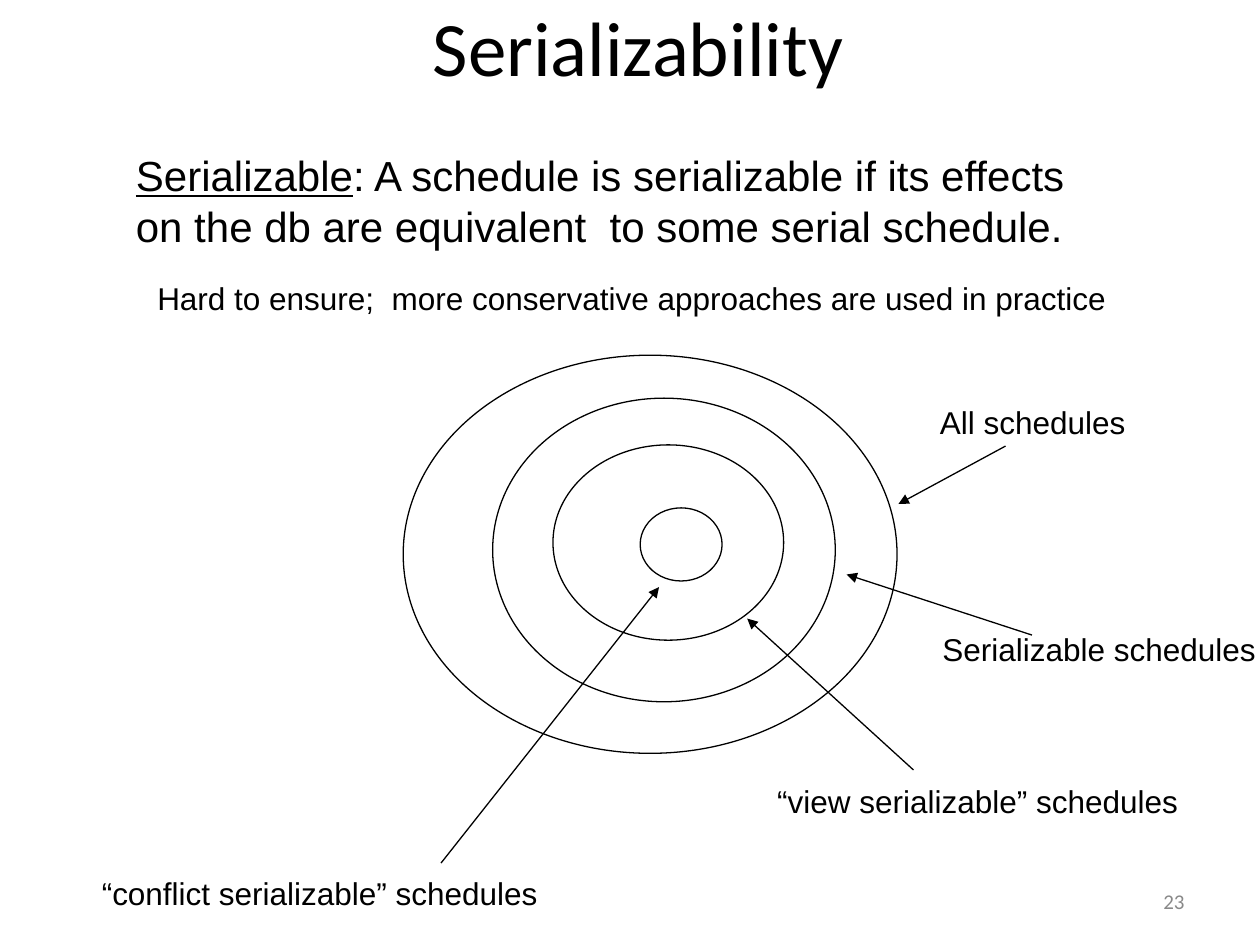
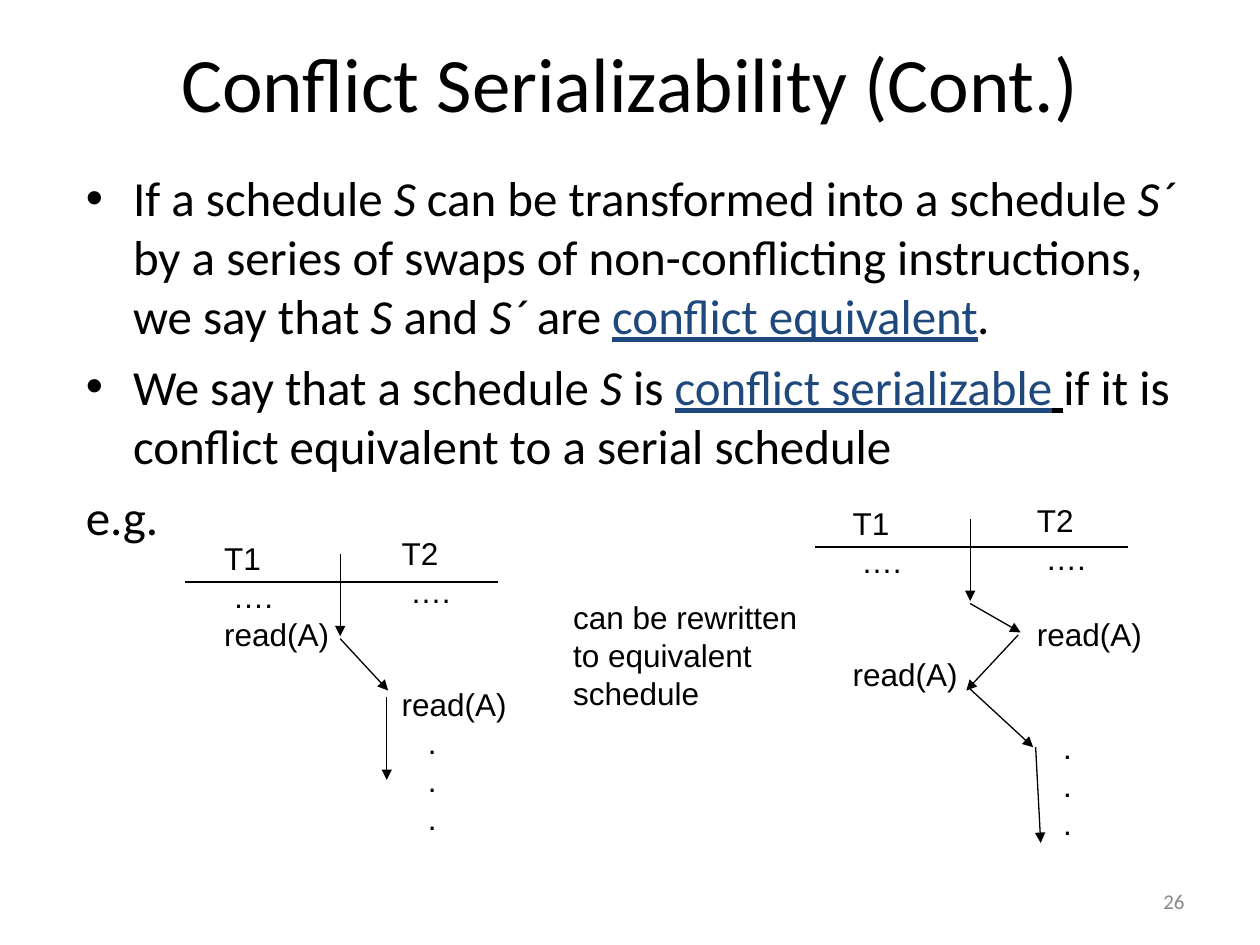
from dataclasses import dataclass

from lxml import etree
from pptx import Presentation
from pptx.dml.color import RGBColor
from pptx.enum import shapes, text
from pptx.oxml.ns import qn
from pptx.util import Pt

BLACK, GREY, NAVY = "000000", "898989", "1F497D"
SANS, HEAD = "Arial", "Calibri"
LEAD = 1.2  # line height as a share of the type size
PAD = 7.2  # top and bottom inset of a text box together
DOT, GAP = 15, 5  # indents of the dots in a schedule column


@dataclass
class Row:
    """A line of a label: its indent and the lines left free above it."""
    words: str
    indent: float = 0
    skip: int = 0


@dataclass
class Label:
    left: float
    top: float
    width: float
    rows: list[Row]
    lines: float = 1


@dataclass
class Arrow:
    x1: float
    y1: float
    x2: float
    y2: float


@dataclass
class Ring:
    left: float
    top: float
    width: float
    height: float


def color(code: str) -> RGBColor:
    return RGBColor.from_string(code)


def write(para, words: str, *, size: float = 18, font: str = SANS, ink: str = BLACK,
          italic: bool = False, under: bool = False) -> None:
    run = para.add_run()
    run.text = words
    run.font.size, run.font.name = Pt(size), font
    run.font.italic, run.font.underline = italic, under
    run.font.color.rgb = color(ink)


def place(shape, left: float, top: float, width: float, height: float) -> None:
    shape.left, shape.top = Pt(left), Pt(top)
    shape.width, shape.height = Pt(width), Pt(height)


def indent(para, left: float, first: float = 0) -> None:
    props = para._p.get_or_add_pPr()
    props.set("marL", str(Pt(left)))
    props.set("indent", str(Pt(first)))


def add_box(slide, left: float, top: float, width: float, lines: float,
            size: float = 18, wrap: bool = False):
    """Add an empty text box tall enough for a number of lines."""
    height = lines * size * LEAD + PAD
    frame = slide.shapes.add_textbox(Pt(left), Pt(top), Pt(width), Pt(height)).text_frame
    frame.word_wrap = wrap
    frame.auto_size = text.MSO_AUTO_SIZE.NONE
    frame.paragraphs[0].line_spacing = Pt(size * LEAD)
    return frame


def add_label(slide, label: Label) -> None:
    frame = add_box(slide, label.left, label.top, label.width, label.lines)
    for i, row in enumerate(label.rows):
        para = frame.add_paragraph() if i else frame.paragraphs[0]
        para.line_spacing = Pt(18 * LEAD)
        if row.skip:
            para.space_before = Pt(row.skip * 18 * LEAD)
        if row.indent:
            indent(para, row.indent)
        write(para, row.words)


def add_line(slide, arrow: Arrow, head: bool = True) -> None:
    line = slide.shapes.add_connector(
        shapes.MSO_CONNECTOR.STRAIGHT,
        Pt(arrow.x1), Pt(arrow.y1), Pt(arrow.x2), Pt(arrow.y2))
    line.line.color.rgb = color(BLACK)
    line.line.width = Pt(0.75)
    props = line._element.spPr
    if head:
        etree.SubElement(props.find(qn("a:ln")), qn("a:tailEnd"), type="triangle")
    etree.SubElement(props, qn("a:effectLst"))


def add_ring(slide, ring: Ring) -> None:
    oval = slide.shapes.add_shape(
        shapes.MSO_SHAPE.OVAL,
        Pt(ring.left), Pt(ring.top), Pt(ring.width), Pt(ring.height))
    oval.shadow.inherit = False
    oval.fill.background()
    oval.line.color.rgb = color(BLACK)
    oval.line.width = Pt(0.75)


def add_grid(slide, left: float, top: float) -> None:
    """Draw the rule under T1 and T2 and the arrow that parts them."""
    add_line(slide, Arrow(left, top, left + 178.6, top), head=False)
    add_line(slide, Arrow(left + 88.6, top - 15.8, left + 88.6, top + 31))


def add_page(deck, layout: int, title: str, number: int, area: tuple):
    """Add a slide with its title and page number."""
    slide = deck.slides.add_slide(deck.slide_layouts[layout])
    head = slide.shapes.title
    place(head, *area)
    head.text_frame.auto_size = text.MSO_AUTO_SIZE.NONE
    head.text_frame.vertical_anchor = text.MSO_ANCHOR.MIDDLE
    para = head.text_frame.paragraphs[0]
    para.alignment = text.PP_ALIGN.CENTER
    write(para, title, size=44, font=HEAD)

    frame = add_box(slide, 516, 500.4, 168, 1.5, size=12, wrap=True)
    frame.vertical_anchor = text.MSO_ANCHOR.MIDDLE
    frame.paragraphs[0].alignment = text.PP_ALIGN.RIGHT
    write(frame.paragraphs[0], str(number), size=12, font=HEAD, ink=GREY)
    return slide


RINGS = [
    Ring(365.8, 290.2, 46.8, 41.8),
    Ring(316, 254.2, 131.8, 111.6),
    Ring(281.5, 227.5, 195.8, 173.5),
    Ring(230.4, 203, 282.2, 227.5),
]
NAMES = [
    Label(530, 226.8, 120.2, [Row("All schedules")]),
    Label(531.4, 356.4, 193, [Row("Serializable schedules")]),
    Label(51.1, 496, 263.5, [Row("“conflict serializable” schedules")]),
    Label(437, 443.5, 243.4, [Row("“view serializable” schedules")]),
    Label(82.8, 156.2, 561.6,
          [Row("Hard to ensure;  more conservative approaches are used in practice")]),
]
POINTERS = [
    Arrow(252, 493.2, 376.6, 335.5),
    Arrow(522, 440, 427, 353.5),
    Arrow(589.7, 362.9, 483.8, 328.3),
    Arrow(574.6, 254.9, 513.4, 288),
]

ITALIC = {"italic": True}
TERM = {"ink": NAVY, "under": True, "italic": True}
POINTS = [
    [("If a schedule ", {}), ("S", ITALIC), (" can be transformed into a schedule ", {}),
     ("S´ ", ITALIC),
     ("by a series of swaps of non-conflicting instructions, we say that ", {}),
     ("S", ITALIC), (" and ", {}), ("S´ ", ITALIC), ("are ", {}),
     ("conflict equivalent", TERM | {"italic": False}), (".", ITALIC)],
    [("We say that a schedule ", {}), ("S", ITALIC), (" is ", {}),
     ("conflict serializable", TERM | {"italic": False}), (" ", {"under": True}),
     ("if it is conflict equivalent to a serial schedule", {})],
    [("e.g.", {})],
]
DOTS = [Row(".", DOT), Row(".", DOT)]
START = Row("….", GAP)
COLUMNS = [
    Label(121, 304.6, 74.2, [Row("T1"), START, Row("read(A)")], 6),
    Label(222.5, 301.7, 74.2,
          [Row("T2"), START, Row("read(A)", skip=2), Row(".", DOT), *DOTS], 10),
    Label(480.2, 284.4, 74.2, [Row("T1"), START, Row("read(A)", skip=2)], 8),
    Label(585.4, 283, 74.2,
          [Row("T2"), START, Row("read(A)", skip=1), Row(".", DOT, 2), *DOTS], 11),
    Label(320.4, 338.4, 142.6,
          [Row("can be rewritten"), Row("to equivalent"), Row("schedule")], 3),
]
STEPS = [
    Arrow(194.4, 365, 221.8, 394.6),
    Arrow(221, 398.2, 221, 445.7),
    Arrow(554.4, 344.9, 583.2, 361.4),
    Arrow(581.8, 362.9, 552.2, 394.6),
    Arrow(554.4, 393.8, 590.4, 427),
    Arrow(591.8, 427, 594.7, 481.7),
]


def build_rings(deck) -> None:
    slide = add_page(deck, 5, "Serializability", 23, (46.8, 2.2, 635.8, 48.2))
    for ring in RINGS:
        add_ring(slide, ring)
    for name in NAMES:
        add_label(slide, name)
    for arrow in POINTERS:
        add_line(slide, arrow)
    para = add_box(slide, 70.6, 82, 547.2, 3, size=24, wrap=True).paragraphs[0]
    write(para, "Serializable", size=24, under=True)
    write(para, ": A schedule is serializable if its effects on the db are "
                "equivalent  to some serial schedule.", size=24)


def build_swaps(deck) -> None:
    slide = add_page(deck, 1, "Conflict Serializability (Cont.)", 26, (36, 9.4, 648, 74.2))
    body = slide.placeholders[1]
    place(body, 41.8, 92.2, 653.8, 370)
    frame = body.text_frame
    frame.auto_size = text.MSO_AUTO_SIZE.NONE
    for i, point in enumerate(POINTS):
        para = frame.add_paragraph() if i else frame.paragraphs[0]
        para.space_before = Pt(7)
        indent(para, 27, -27)
        for words, style in point:
            write(para, words, size=28, font=HEAD, **style)
    etree.SubElement(para._p.get_or_add_pPr(), qn("a:buNone"))

    for column in COLUMNS:
        add_label(slide, column)
    add_grid(slide, 105.8, 332.6)
    add_grid(slide, 465.8, 312.5)
    for step in STEPS:
        add_line(slide, step)


def main() -> None:
    deck = Presentation()
    deck.slide_width, deck.slide_height = Pt(720), Pt(540)
    build_rings(deck)
    build_swaps(deck)
    deck.save("out.pptx")


if __name__ == "__main__":
    main()
